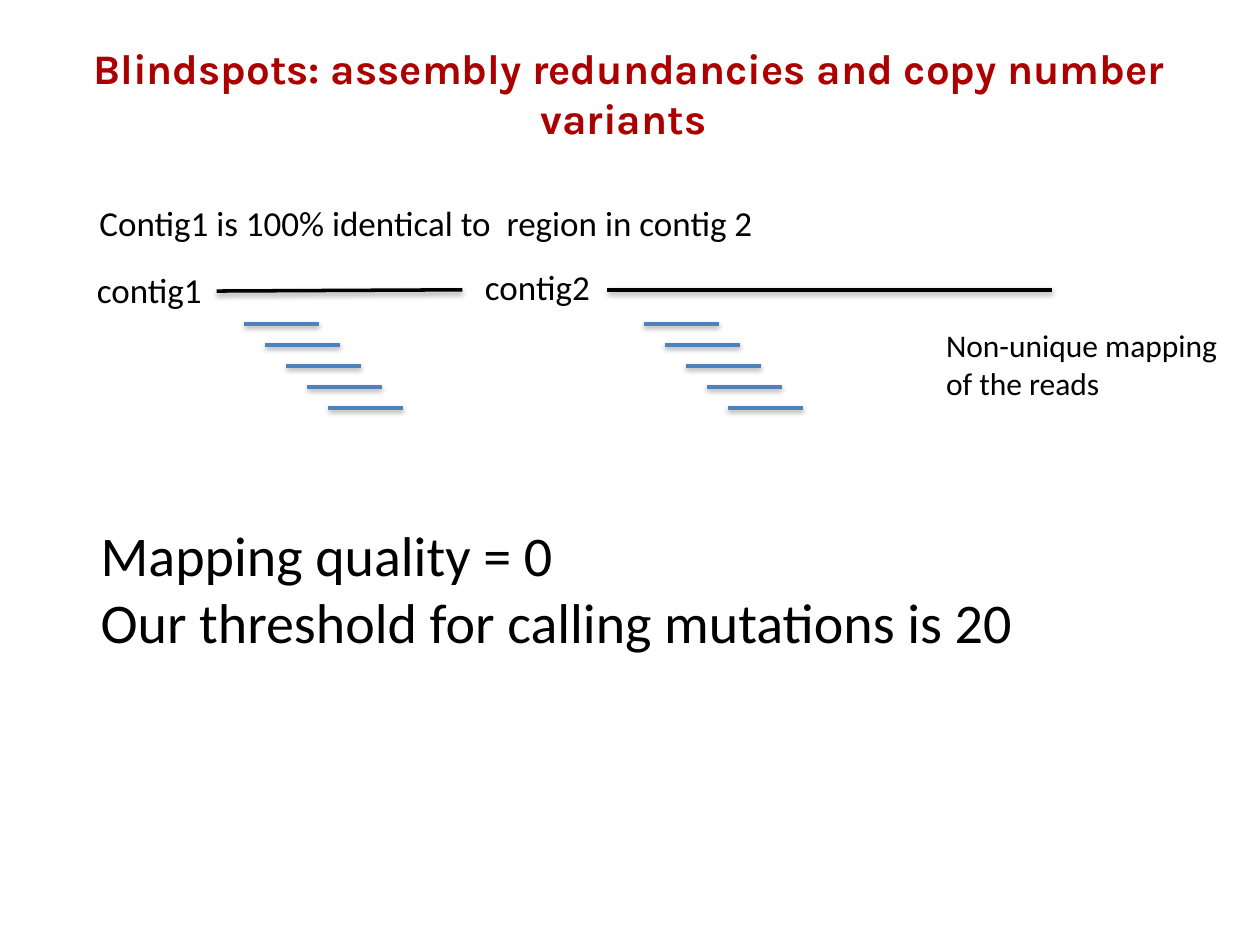
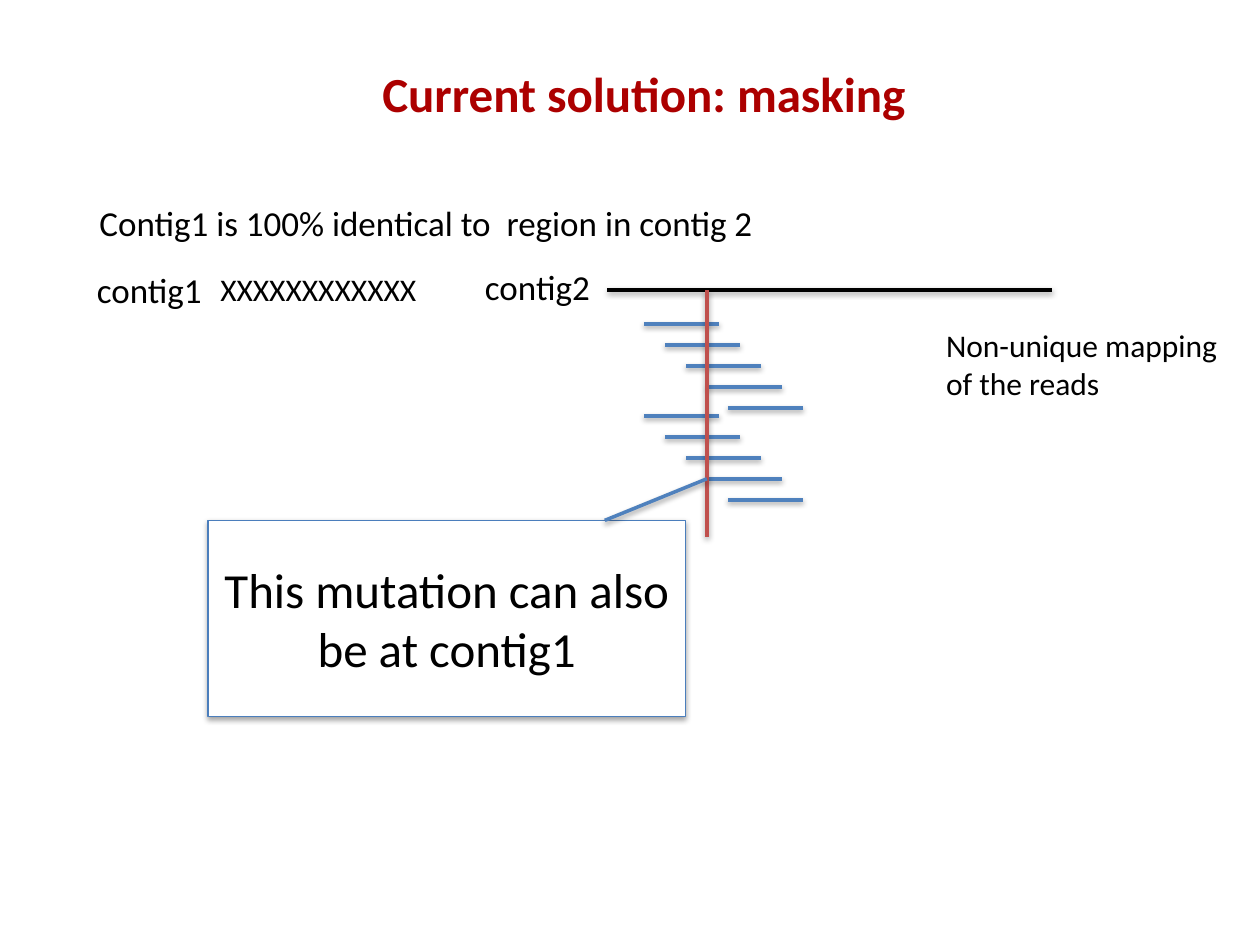
import pptx
import pptx.util
import pptx.dml.color
import pptx.enum.dml
import pptx.enum.shapes
import pptx.enum.text
import pptx.oxml
import pptx.oxml.ns
from pptx.util import Inches

# ---- Shared look ----
RED, BLACK, WHITE = "AC0000", "000000", "FFFFFF"
READ_BLUE, BOX_BLUE, MUTATION_RED = "4F81BD", "4B7EBC", "C0504D"
BODY_FONT = "Calibri"

# ---- Content: text is (lines, (left, top, width, height), size, wraps) ----
SHARED_TEXTS = [
    (["Non-unique mapping", "of the reads"], (7.41, 2.54, 2.38, 0.71), 18, False),
    (["contig1"], (0.67, 2.08, 1.05, 0.44), 20, False),
    (["contig2"], (3.75, 2.06, 1.05, 0.44), 20, False),
    (["Contig1 is 100% identical to  region in contig 2"],
     (0.69, 1.55, 5.45, 0.44), 20, False),
]
CONTIG1 = (1.72, 2.31, 3.67, 2.3)
CONTIG2 = (4.82, 2.3, 8.35, 2.3)
MUTATION = (5.61, 4.26, 5.61, 2.3)
CALLOUT = ("This mutation can also be at contig1", (1.65, 4.13, 3.79, 1.56))
CALLOUT_POINTER = (4.8, 4.13, 5.61, 3.8)

SLIDES = [
    {"title": "Blindspots: assembly redundancies and copy number variants ",
     "title_at": (0, 0.11, 9.98, 1.25), "title_font": "Karla", "title_size": 24,
     "contigs": [CONTIG1, CONTIG2],
     "read_stacks": [(1.94, 2.57), (5.11, 2.57)],
     "texts": [(["Mapping quality = 0",
                 "Our threshold for calling mutations is 20"],
                (0.7, 4.08, 8.24, 1.18), 32, True)],
     "masked": False},
    {"title": "Current solution: masking",
     "title_at": (0.24, 0.11, 9.74, 1.25), "title_font": BODY_FONT, "title_size": 28,
     "contigs": [CONTIG2],
     "read_stacks": [(5.11, 3.3), (5.11, 2.57)],
     "texts": [(["XXXXXXXXXXXX"], (1.65, 2.09, 1.77, 0.4), 18, False)],
     "masked": True},
]

# Each read is shifted by the same step right and down
READS_PER_STACK, READ_LENGTH, READ_STEP = 5, 0.595, 1 / 6


def rgb(value):
    return pptx.dml.color.RGBColor.from_string(value)


def inches(*values):
    return [Inches(value) for value in values]


def add_shadow(part, opacity):
    properties = part._element.spPr
    for inherited in properties.findall(pptx.oxml.ns.qn("a:effectLst")):
        properties.remove(inherited)
    properties.append(pptx.oxml.parse_xml(
        f'<a:effectLst {pptx.oxml.ns.nsdecls("a")}>'
        '<a:outerShdw blurRad="40000" dist="20000" dir="5400000" rotWithShape="0">'
        f'<a:srgbClr val="{BLACK}"><a:alpha val="{opacity * 1000}"/></a:srgbClr>'
        '</a:outerShdw></a:effectLst>'))


def add_line(slide, ends, color):
    line = slide.shapes.add_connector(
        pptx.enum.shapes.MSO_CONNECTOR.STRAIGHT, *inches(*ends))
    line.line.color.rgb = rgb(color)
    line.line.width = pptx.util.Pt(2)
    add_shadow(line, 38)


def write(paragraph, text, size, color=BLACK, font=BODY_FONT, bold=False):
    run = paragraph.add_run()
    run.text = text
    run.font.size = pptx.util.Pt(size)
    run.font.name = font
    run.font.bold = bold
    run.font.color.rgb = rgb(color)


def center(frame):
    frame.word_wrap = True
    frame.vertical_anchor = pptx.enum.text.MSO_ANCHOR.MIDDLE
    frame.paragraphs[0].alignment = pptx.enum.text.PP_ALIGN.CENTER


def add_title(slide, content):
    title = slide.shapes.title
    title.left, title.top, title.width, title.height = inches(*content["title_at"])
    center(title.text_frame)
    title.text_frame.auto_size = pptx.enum.text.MSO_AUTO_SIZE.NONE
    write(title.text_frame.paragraphs[0], content["title"], content["title_size"],
          RED, content["title_font"], True)


def add_text(slide, lines, box, size, wraps):
    frame = slide.shapes.add_textbox(*inches(*box)).text_frame
    frame.word_wrap = wraps
    frame.auto_size = pptx.enum.text.MSO_AUTO_SIZE.SHAPE_TO_FIT_TEXT
    for index, line in enumerate(lines):
        paragraph = frame.add_paragraph() if index else frame.paragraphs[0]
        write(paragraph, line, size)


def add_reads(slide, left, top):
    for index in range(READS_PER_STACK):
        x, y = left + index * READ_STEP, top + index * READ_STEP
        add_line(slide, (x, y, x + READ_LENGTH, y), READ_BLUE)


def add_mutation(slide):
    add_line(slide, MUTATION, MUTATION_RED)
    text, box = CALLOUT
    callout = slide.shapes.add_shape(
        pptx.enum.shapes.MSO_SHAPE.RECTANGLE, *inches(*box))
    callout.fill.solid()
    callout.fill.fore_color.rgb = rgb(WHITE)
    callout.line.color.rgb = rgb(BOX_BLUE)
    callout.line.width = pptx.util.Pt(0.75)
    add_shadow(callout, 35)
    center(callout.text_frame)
    write(callout.text_frame.paragraphs[0], text, 28)
    add_line(slide, CALLOUT_POINTER, READ_BLUE)


def main():
    deck = pptx.Presentation()
    deck.slide_width, deck.slide_height = inches(10, 7.5)
    title_only = deck.slide_layouts[5]
    for content in SLIDES:
        slide = deck.slides.add_slide(title_only)
        add_title(slide, content)
        # Contigs and the reads mapped to them
        for contig in content["contigs"]:
            add_line(slide, contig, BLACK)
        for left, top in content["read_stacks"]:
            add_reads(slide, left, top)
        # Labels and statements
        for text in SHARED_TEXTS + content["texts"]:
            add_text(slide, *text)
        if content["masked"]:
            add_mutation(slide)
    deck.save("out.pptx")


if __name__ == "__main__":
    main()
